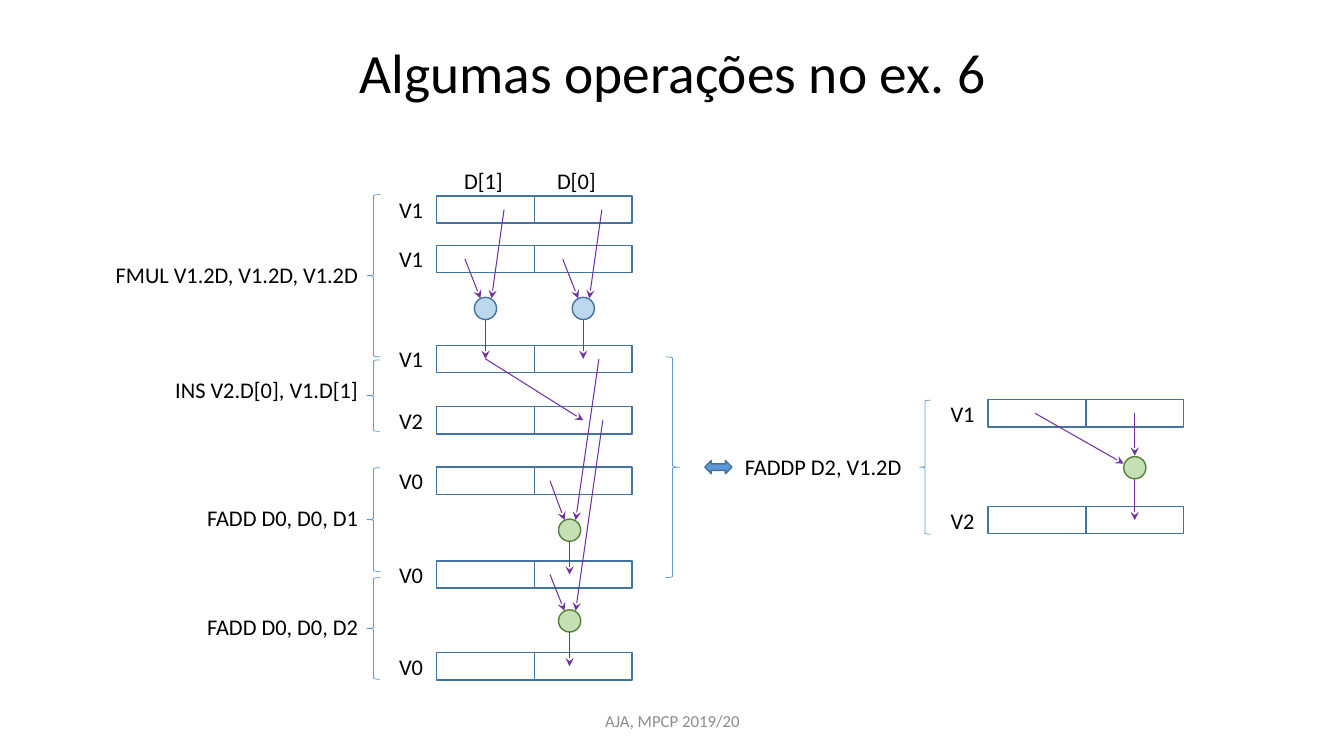
from dataclasses import dataclass

from lxml import etree
from pptx import Presentation
from pptx.dml.color import RGBColor
from pptx.enum.shapes import MSO_CONNECTOR as Link, MSO_SHAPE as Shape
from pptx.enum.text import MSO_ANCHOR as Anchor, MSO_AUTO_SIZE as Fit, PP_ALIGN as Align
from pptx.oxml.ns import qn
from pptx.util import Inches, Pt

# Content
TITLE = "Algumas operações no ex. 6"
FOOTER = "AJA, MPCP 2019/20"
LANE_NAMES = [("D[1]", 0.48), ("D[0]", 1.43)]  # name, position in lanes

# Each bank: left edge and its registers (name, centre height)
BANKS = {
    "steps": (4.33, [("V1", 2.08), ("V1", 2.57), ("V1", 3.56), ("V2", 4.17),
                     ("V0", 4.77), ("V0", 5.70), ("V0", 6.61)]),
    "pairwise": (9.80, [("V1", 4.10), ("V2", 5.16)]),
}

# Arrow ends on an operation, relative to its centre
UPPER_LEFT, UPPER_RIGHT, TOP, SIDE = (-0.05, -0.1), (0.06, -0.1), (0, -0.12), (-0.11, -0.04)

# Operation: bank, lane position, height, kind, inputs (register, lane position, end), output
OPERATIONS = [
    ("steps", 0.5, 3.06, "multiply", [(1, 0.29, UPPER_LEFT), (0, 0.69, UPPER_RIGHT)], 2),
    ("steps", 1.5, 3.06, "multiply", [(1, 1.29, UPPER_LEFT), (0, 1.69, UPPER_RIGHT)], 2),
    ("steps", 1.36, 5.26, "add", [(4, 1.16, UPPER_LEFT), (2, 1.66, UPPER_RIGHT)], 5),
    ("steps", 1.36, 6.16, "add", [(5, 1.16, UPPER_LEFT), (3, 1.70, UPPER_RIGHT)], 6),
    ("pairwise", 1.5, 4.64, "add", [(0, 0.48, SIDE), (0, 1.5, TOP)], 1),
]
INSERTION = ("steps", (2, 0.5), (3, 1.5))  # bank, from, to

# Instruction: text, label centre, brace top, brace height
INSTRUCTIONS = [
    ("FMUL V1.2D, V1.2D, V1.2D", 2.72, 1.93, 1.61),
    ("INS V2.D[0], V1.D[1]", 3.86, 3.57, 0.71),
    ("FADD D0, D0, D1", 5.13, 4.64, 1.03),
    ("FADD D0, D0, D2", 6.22, 5.73, 1.01),
]
PAIR_INSTRUCTION = "FADDP D2, V1.2D"

# Grid
LANE_W, LANE_H, NODE, LABEL_H = 0.97, 0.27, 0.22, 0.37
BRACE_X, BRACE_W = 3.64, 0.13


@dataclass(frozen=True)
class Theme:
    font: str = "Calibri"
    title: float = 39.6
    label: float = 16
    footer: float = 12
    ink: str = "000000"
    muted: str = "8C8C8C"
    outline: str = "43739E"
    accent: str = "5B9BD5"
    flow: str = "7030A0"


T = Theme()
NODE_COLOURS = {"multiply": ("BDD7EE", T.outline), "add": ("C5E0B4", "548235")}

prs = Presentation()
prs.slide_width, prs.slide_height = Inches(13.33), Inches(7.5)
s = prs.slides.add_slide(prs.slide_layouts[5])


def write(sp, text, size=T.label, colour=T.ink, align=Align.LEFT, anchor=Anchor.MIDDLE):
    tf = sp.text_frame
    frame = {"word_wrap": True, "auto_size": Fit.NONE, "vertical_anchor": anchor}
    for name, value in frame.items():
        setattr(tf, name, value)
    p = tf.paragraphs[0]
    p.alignment = align
    r = p.add_run()
    r.text = text
    for name, value in {"name": T.font, "size": Pt(size)}.items():
        setattr(r.font, name, value)
    r.font.color.rgb = RGBColor.from_string(colour)
    return p


def label(text, x, y, w, **style):
    """Text box whose vertical centre is y."""
    box = s.shapes.add_textbox(*map(Inches, (x, y - LABEL_H / 2, w, LABEL_H)))
    write(box, text, **style)


def draw(kind, x, y, w, h, line, width=1, fill=None):
    sp = s.shapes.add_shape(kind, *map(Inches, (x, y, w, h)))
    sp.shadow.inherit = False
    if fill:
        sp.fill.solid()
        sp.fill.fore_color.rgb = RGBColor.from_string(fill)
    else:
        sp.fill.background()
    sp.line.color.rgb = RGBColor.from_string(line)
    sp.line.width = Pt(width)


def brace(kind, x, y, w, h):
    draw(kind, x, y, w, h, T.accent, 0.5)


def arrow(start, end):
    c = s.shapes.add_connector(Link.STRAIGHT, *map(Inches, (*start, *end)))
    c.line.color.rgb = RGBColor.from_string(T.flow)
    c.line.width = Pt(0.75)
    etree.SubElement(c.line._get_or_add_ln(), qn("a:tailEnd"), type="stealth")
    etree.SubElement(c._element.spPr, qn("a:effectLst"))


def spot(bank, register, lane):
    """Point inside a register, measured in lanes from its left edge."""
    left, registers = BANKS[bank]
    return left + lane * LANE_W, registers[register][1]


# Title
title = s.shapes.title
for name, value in {"left": 0.92, "top": 0.4, "width": 11.5, "height": 1.2}.items():
    setattr(title, name, Inches(value))
p = write(title, TITLE, T.title, align=Align.CENTER, anchor=Anchor.TOP)
p.line_spacing = 0.9

# Registers
for left, registers in BANKS.values():
    for name, y in registers:
        label(name, left - 0.47, y, 0.5)
        for lane in range(2):
            draw(Shape.RECTANGLE, left + lane * LANE_W, y - LANE_H / 2, LANE_W, LANE_H, T.outline)
for name, lane in LANE_NAMES:
    label(name, BANKS["steps"][0] + lane * LANE_W - 0.35, 1.79, 0.7, align=Align.CENTER)

# Operations and data flow
for bank, lane, y, kind, inputs, output in OPERATIONS:
    x = spot(bank, output, lane)[0]
    fill, line = NODE_COLOURS[kind]
    draw(Shape.OVAL, x - NODE / 2, y - NODE / 2, NODE, NODE, line, fill=fill)
    for register, source, (dx, dy) in inputs:
        arrow(spot(bank, register, source), (x + dx, y + dy))
    arrow((x, y + NODE / 2), spot(bank, output, lane))
bank, source, target = INSERTION
arrow(spot(bank, *source), spot(bank, *target))

# Instructions
for text, y, top, height in INSTRUCTIONS:
    label(text, BRACE_X - 2.8, y, 2.81, align=Align.RIGHT)
    brace(Shape.LEFT_BRACE, BRACE_X, top, BRACE_W, height)

# Equivalent pairwise instruction
brace(Shape.RIGHT_BRACE, 6.6, 3.54, 0.14, 2.19)
draw(Shape.LEFT_RIGHT_ARROW, 6.99, 4.57, 0.27, 0.13, T.outline, fill=T.accent)
label(PAIR_INSTRUCTION, 7.29, 4.63, 1.82)
brace(Shape.LEFT_BRACE, 9.12, 3.97, 0.11, 1.33)

# Footer
label(FOOTER, 4.42, 7.15, 4.5, size=T.footer, colour=T.muted, align=Align.CENTER)

prs.save("out.pptx")
